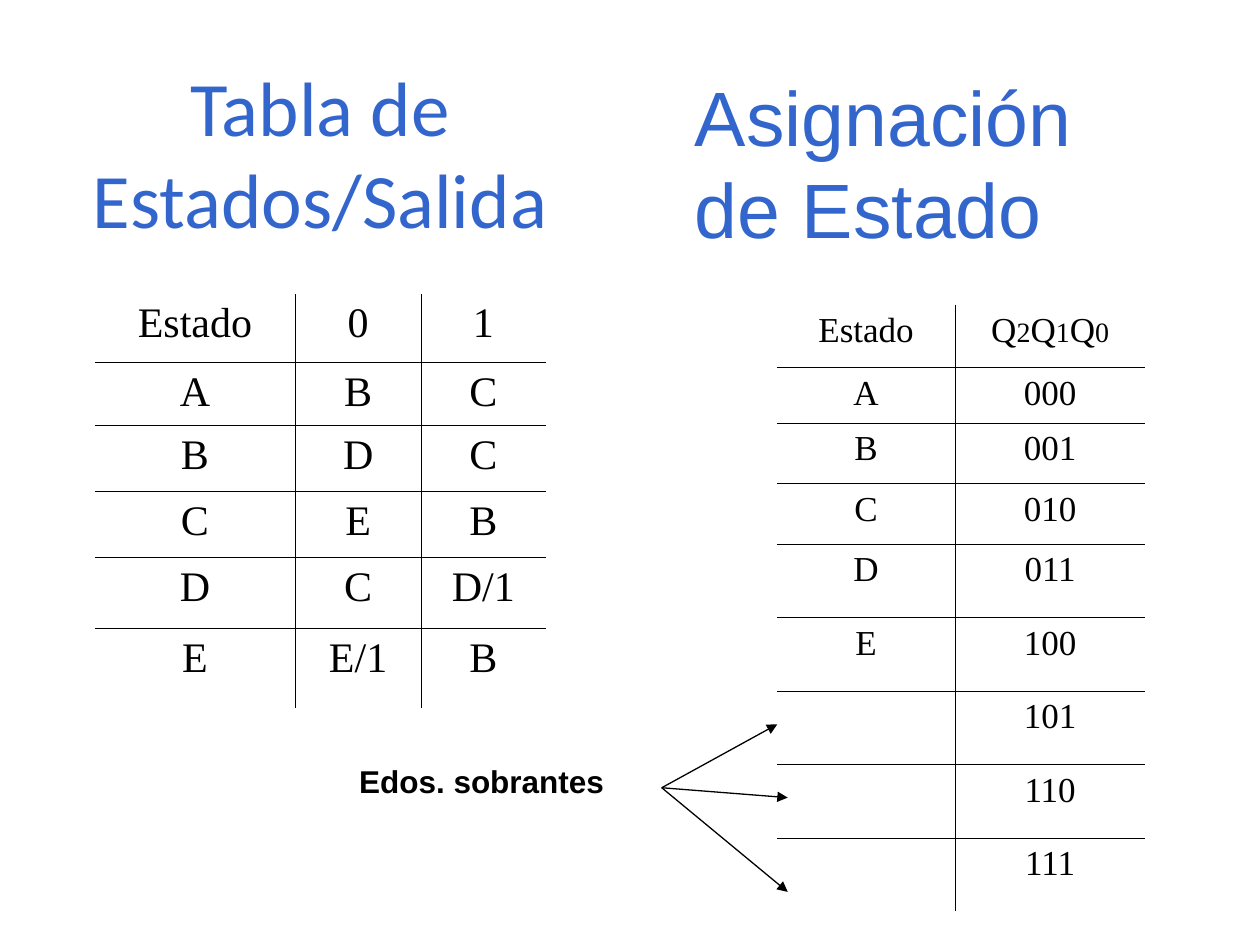
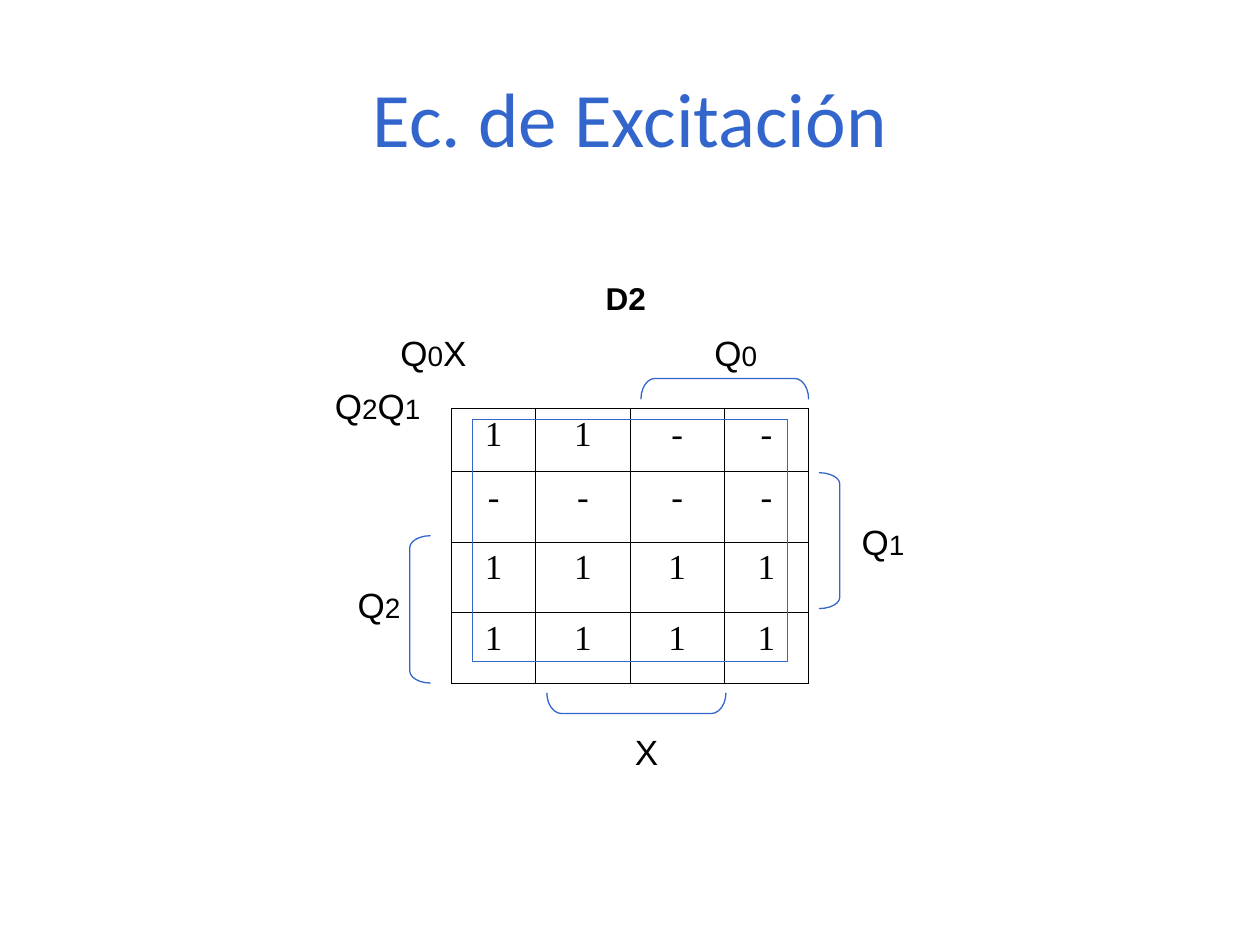
from dataclasses import dataclass

from lxml.etree import SubElement
from pptx import Presentation
from pptx.dml.color import RGBColor
from pptx.enum.shapes import MSO_CONNECTOR, MSO_SHAPE
from pptx.enum.text import MSO_ANCHOR, MSO_AUTO_SIZE, PP_ALIGN
from pptx.oxml import parse_xml
from pptx.oxml.ns import nsdecls, qn
from pptx.util import Cm, Pt


@dataclass(frozen=True)
class Theme:
    blue: RGBColor = RGBColor(0x33, 0x66, 0xCC)
    black: RGBColor = RGBColor(0, 0, 0)
    title_font: str = "Calibri"
    label_font: str = "Arial"
    table_font: str = "Times New Roman"
    title_size: int = 44
    large_size: int = 24
    text_size: int = 20
    note_size: int = 18
    index_size: int = 16
    line: float = 0.75
    grid_line: float = 0.45


THEME = Theme()

# Content; every position and length is in centimetres
STATES = {
    "at": (1.91, 5.93),
    "cols": [4.04, 2.54, 2.51],
    "rows": [1.38, 1.27, 1.33, 1.33, 1.43, 1.6],
    "size": THEME.large_size,
    "cells": [
        ("Estado", "0", "1"),
        ("A", "B", "C"),
        ("B", "D", "C"),
        ("C", "E", "B"),
        ("D", "C", "D/1"),
        ("E", "E/1", "B"),
    ],
}
STATE_NAMES = ["A", "B", "C", "D", "E", "", "", ""]
ASSIGNMENT = {
    "at": (15.66, 6.14),
    "cols": [3.6, 3.82],
    "rows": [1.27, 1.12, 1.22, 1.22] + [1.48] * 5,
    "size": THEME.text_size,
    "cells": [("Estado", "Q2Q1Q0")]
    + [(name, f"{code:03b}") for code, name in enumerate(STATE_NAMES)],
}
KARNAUGH = {
    "at": (6.99, 6.77),
    "cols": [2.11, 1.7, 1.9, 1.9, 1.7],
    "rows": [1.47, 1.27] + [1.42] * 3,
    "size": THEME.text_size,
    "cells": [[""] + list(row) for row in ("    ", "11--", "----", "1111", "1111")],
}

ASSIGNMENT_HEADING = ("Asignación de Estado", (13.76, 1.27, 9.73, 3.99))
SPARE_STATES = ("Edos. sobrantes", (6.99, 15.24, 6.35, 1.02))
SPARE_ORIGIN = (13.34, 15.88)
SPARE_TARGETS = [(15.67, 14.6), (15.88, 16.08), (15.88, 17.98)]

MAP_NAME = ("D2", (11.96, 5.51, 1.32, 1.02))
VARIABLES = [
    ("Q2Q1", (6.5, 7.62, 2.24, 1.12)),
    ("Q0X", (7.82, 6.55, 1.9, 1.12)),
    ("Q0", (14.15, 6.55, 1.37, 1.12)),
    ("Q2", (6.96, 11.63, 1.37, 1.12)),
    ("Q1", (17.12, 10.36, 1.37, 1.12)),
    ("X", (12.55, 14.6, 0.97, 1.12)),
]
BRACKET_WIDTH = 0.42
BRACKETS = [  # preset, left, top, length, rotation
    (MSO_SHAPE.RIGHT_BRACKET, 16.51, 9.53, 2.74, 0),
    (MSO_SHAPE.LEFT_BRACKET, 8.26, 10.8, 2.97, 0),
    (MSO_SHAPE.LEFT_BRACKET, 14.4, 6.15, 3.38, 90),
    (MSO_SHAPE.LEFT_BRACKET, 12.62, 12.37, 3.61, 270),
]
GROUP_FRAME = (9.53, 8.46, 6.35, 4.88)


def cm(lengths):
    return [Cm(length) for length in lengths]


# Text
def write(paragraph, text, font, size, color=THEME.black, bold=False):
    """Fill a paragraph; the digits after a Q are set smaller."""
    paragraph.font.name = font
    paragraph.font.size = Pt(size)
    paragraph.font.color.rgb = color
    paragraph.font.bold = bold
    for part in text if text.startswith("Q") else [text]:
        run = paragraph.add_run()
        run.text = part
        if text.startswith("Q") and part.isdigit():
            run.font.size = Pt(THEME.index_size)


def add_label(slide, text, box, size, wrap=False, **style):
    frame = slide.shapes.add_textbox(*cm(box)).text_frame
    frame.word_wrap = wrap
    frame.auto_size = MSO_AUTO_SIZE.SHAPE_TO_FIT_TEXT
    write(frame.paragraphs[0], text, THEME.label_font, size, **style)


def add_titled_slide(deck, text, box):
    slide = deck.slides.add_slide(deck.slide_layouts[5])
    title = slide.shapes.title
    title.left, title.top, title.width, title.height = cm(box)
    frame = title.text_frame
    frame.auto_size = MSO_AUTO_SIZE.NONE
    frame.vertical_anchor = MSO_ANCHOR.MIDDLE
    frame.paragraphs[0].alignment = PP_ALIGN.CENTER
    write(frame.paragraphs[0], text, THEME.title_font, THEME.title_size, THEME.blue)
    return slide


# Tables
def set_borders(cell, drawn):
    properties = cell._tc.get_or_add_tcPr()
    for place, side in enumerate("LRTB"):
        fill = (f'<a:solidFill><a:srgbClr val="{THEME.black}"/></a:solidFill>'
                if side in drawn else "<a:noFill/>")
        properties.insert(place, parse_xml(
            f'<a:ln{side} {nsdecls("a")} w="{Pt(THEME.grid_line)}">{fill}</a:ln{side}>'))


def inner_borders(row, col, last_row, last_col):
    """Rules between cells only."""
    edges = {"L": col > 0, "R": col < last_col, "T": row > 0, "B": row < last_row}
    return {side for side, drawn in edges.items() if drawn}


def map_borders(row, col, last_row, last_col):
    """Full grid, leaving the first row and column open."""
    if row and col:
        return set("LRTB")
    return {"B"} if col else {"R"} if row else set()


def add_grid(slide, content, borders):
    cols, rows = content["cols"], content["rows"]
    table = slide.shapes.add_table(
        len(rows), len(cols), *cm((*content["at"], sum(cols), sum(rows)))).table
    table.first_row = table.horz_banding = False
    for column, width in zip(table.columns, cols):
        column.width = Cm(width)
    for row, height in zip(table.rows, rows):
        row.height = Cm(height)
    for r, texts in enumerate(content["cells"]):
        for c, text in enumerate(texts):
            cell = table.cell(r, c)
            cell.fill.background()
            set_borders(cell, borders(r, c, len(rows) - 1, len(cols) - 1))
            paragraph = cell.text_frame.paragraphs[0]
            paragraph.alignment = PP_ALIGN.CENTER
            if text.strip():
                paragraph.space_before = Pt(content["size"] / 4)
                write(paragraph, text, THEME.table_font, content["size"])


# Lines and outlines
def add_arrow(slide, start, end):
    arrow = slide.shapes.add_connector(MSO_CONNECTOR.STRAIGHT, *cm(start + end))
    arrow.line.color.rgb = THEME.black
    arrow.line.width = Pt(THEME.line)
    SubElement(arrow.line._get_or_add_ln(), qn("a:tailEnd"), type="triangle")
    SubElement(arrow._element.spPr, qn("a:effectLst"))


def add_outline(slide, preset, box):
    outline = slide.shapes.add_shape(preset, *cm(box))
    outline.shadow.inherit = False
    outline.fill.background()
    outline.line.color.rgb = THEME.blue
    outline.line.width = Pt(THEME.line)
    return outline


# Slides
def build_states_slide(deck):
    slide = add_titled_slide(deck, "Tabla de Estados/Salida", (0.84, 1.47, 11.23, 3.18))
    add_grid(slide, STATES, inner_borders)
    add_label(slide, *ASSIGNMENT_HEADING, THEME.title_size, wrap=True, color=THEME.blue)
    add_grid(slide, ASSIGNMENT, inner_borders)
    add_label(slide, *SPARE_STATES, THEME.note_size, wrap=True, bold=True)
    for target in SPARE_TARGETS:
        add_arrow(slide, SPARE_ORIGIN, target)


def build_excitation_slide(deck):
    slide = add_titled_slide(deck, "Ec. de Excitación", (1.27, 0.76, 22.86, 3.18))
    add_grid(slide, KARNAUGH, map_borders)
    for preset, left, top, length, rotation in BRACKETS:
        bracket = add_outline(slide, preset, (left, top, BRACKET_WIDTH, length))
        bracket.adjustments[0] = length / BRACKET_WIDTH / 12
        bracket.rotation = rotation
    for text, box in VARIABLES:
        add_label(slide, text, box, THEME.text_size)
    add_label(slide, *MAP_NAME, THEME.note_size, bold=True)
    add_outline(slide, MSO_SHAPE.RECTANGLE, GROUP_FRAME)


def main():
    deck = Presentation()
    deck.slide_width, deck.slide_height = Cm(25.4), Cm(19.05)
    build_states_slide(deck)
    build_excitation_slide(deck)
    deck.save("out.pptx")


if __name__ == "__main__":
    main()
